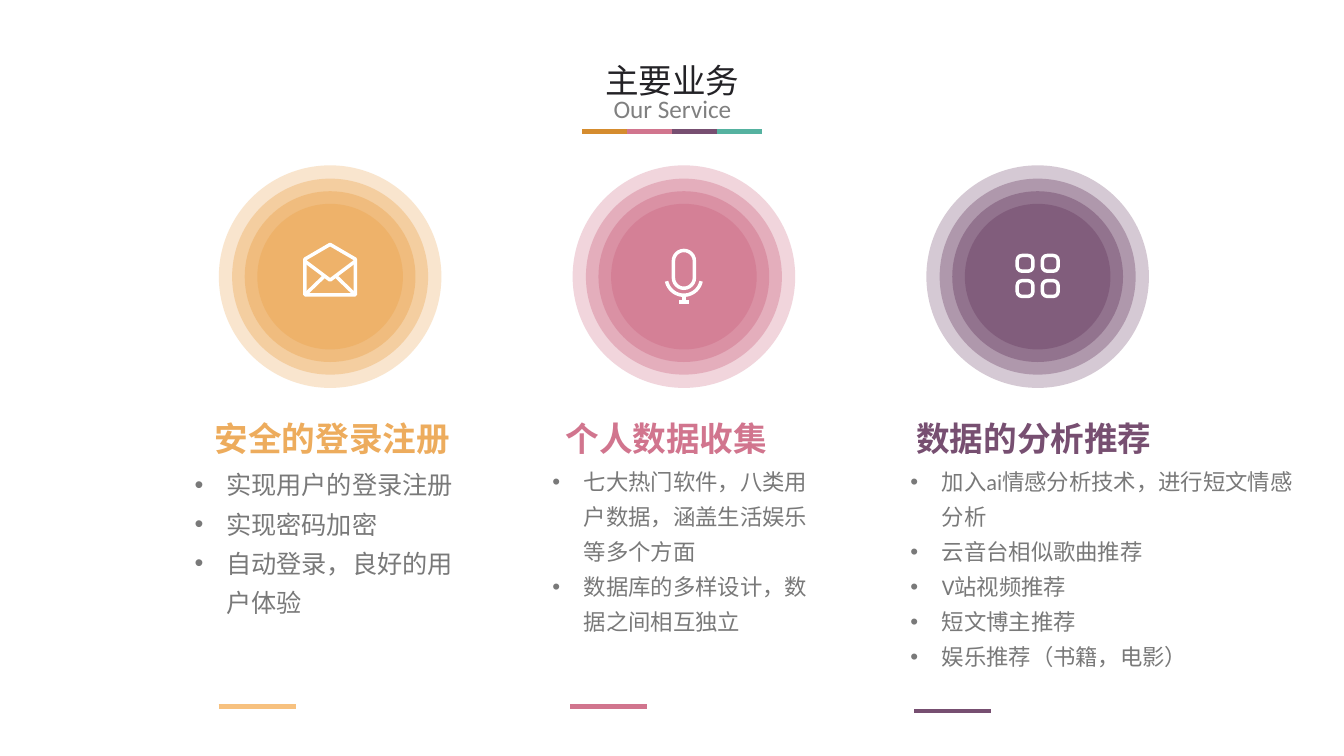
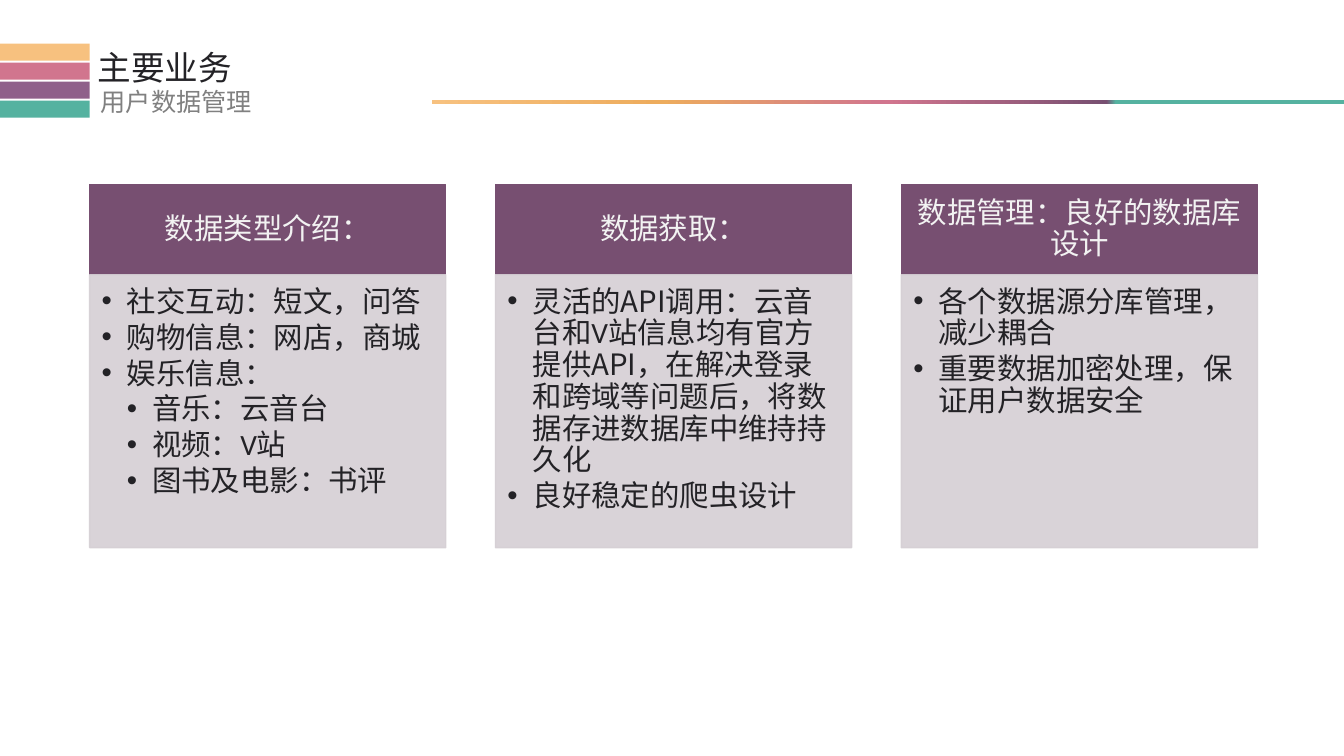
from math import cos, radians, sin

from lxml import etree
from pptx import Presentation
from pptx.dml.color import RGBColor
from pptx.enum.shapes import MSO_CONNECTOR, MSO_SHAPE
from pptx.enum.text import MSO_ANCHOR, PP_ALIGN
from pptx.oxml.ns import qn
from pptx.util import Pt

RECT, ROUND, OVAL = MSO_SHAPE.RECTANGLE, MSO_SHAPE.ROUNDED_RECTANGLE, MSO_SHAPE.OVAL
STRAIGHT = MSO_CONNECTOR.STRAIGHT
LEFT, CENTER = PP_ALIGN.LEFT, PP_ALIGN.CENTER
TOP, MIDDLE = MSO_ANCHOR.TOP, MSO_ANCHOR.MIDDLE

SAND = RGBColor(0xF7, 0xC1, 0x7F)
ORANGE = RGBColor(0xED, 0xAC, 0x5D)
OCHRE = RGBColor(0xD5, 0x8C, 0x2E)
ROSE = RGBColor(0xD1, 0x75, 0x8E)
PLUM = RGBColor(0x77, 0x4F, 0x71)
MAUVE = RGBColor(0x8F, 0x60, 0x8A)
TEAL = RGBColor(0x55, 0xB2, 0xA0)
PALE = RGBColor(0xD5, 0xCF, 0xD4)
DARK = RGBColor(0x23, 0x22, 0x26)
GRAY = RGBColor(0x80, 0x80, 0x80)
TEXT = RGBColor(0x79, 0x79, 0x79)
LIGHT = RGBColor(0xF2, 0xF2, 0xF2)
WHITE = RGBColor(0xFF, 0xFF, 0xFF)

HAN, LATIN = "Noto Sans CJK SC", "Calibri"
TITLE = "主要业务"
INSET = (3.6, 3.6, 3.6, 3.6)

# Each bullet is a level followed by its runs.
SERVICES = [
    dict(head="安全的登录注册", color=ORANGE, icon="mail", size=18,
         left=135.4, width=200, head_x=149.8, rule=(156.2, 504.7, SAND),
         items=[(1, "实现用户的登录注册"), (1, "实现密码加密"),
                (1, "自动登录，良好的用户体验")]),
    dict(head="个人数据收集", color=ROSE, icon="mic", size=16,
         left=391, width=205, head_x=400.3, rule=(407.5, 504.7, ROSE),
         items=[(1, "七大热门软件，八类用户数据，涵盖生活娱乐等多个方面"),
                (1, "数据库的多样设计，数据之间相互独立")]),
    dict(head="数据的分析推荐", color=PLUM, icon="grid", size=16,
         left=646.6, width=291.6, head_x=650.9, rule=(653, 507.6, PLUM),
         items=[(1, "加入", "ai", "情感分析技术，进行短文情感分析"),
                (1, "云音台相似歌曲推荐"), (1, "V", "站视频推荐"),
                (1, "短文博主推荐"), (1, "娱乐推荐（书籍，电影）")]),
]
CARDS = [
    ("数据类型介绍：",
     [(1, "社交互动：短文，问答"), (1, "购物信息：网店，商城"),
      (1, "娱乐信息："), (2, "音乐：云音台"), (2, "视频：", "V", "站"),
      (2, "图书及电影：书评")]),
    ("数据获取：",
     [(1, "灵活的API调用：云音台和", "V",
       "站信息均有官方提供API，在解决登录和跨域等问题后，将数据存进数据库中维持持久化"),
      (1, "良好稳定的爬虫设计")]),
    ("数据管理：良好的数据库设计",
     [(1, "各个数据源分库管理，减少耦合"),
      (1, "重要数据加密处理，保证用户数据安全")]),
]
RINGS = [(159, 30), (140, 40), (122, 50), (104, 60)]
RING_X, RING_STEP, RING_Y = 235.8, 252.7, 197.6
BARS = [OCHRE, ROSE, PLUM, TEAL]
STRIPES = [SAND, ROSE, MAUVE, TEAL]
FADE = [(0, SAND), (25, ORANGE), (50, ROSE), (74, PLUM), (75, TEAL), (100, TEAL)]


def node(parent, tag, **attrs):
    return etree.SubElement(parent, qn(tag), attrs)


def fade(part, alpha):
    """Set the opacity in percent of every colour in part."""
    for color in part.element.spPr.iter(qn("a:srgbClr")):
        node(color, "a:alpha", val=str(alpha * 1000))


def shape(slide, kind, x, y, w, h, fill=None, line=None, weight=1):
    part = slide.shapes.add_shape(kind, Pt(x), Pt(y), Pt(w), Pt(h))
    part.shadow.inherit = False
    paint(part, fill, line, weight)
    return part


def paint(part, fill, line, weight):
    if fill is None:
        part.fill.background()
    else:
        part.fill.solid()
        part.fill.fore_color.rgb = fill
    if line is None:
        part.line.fill.background()
    else:
        part.line.color.rgb = line
        part.line.width = Pt(weight)


def rule(slide, x1, y1, x2, y2, color, weight):
    part = slide.shapes.add_connector(STRAIGHT, Pt(x1), Pt(y1), Pt(x2), Pt(y2))
    part.line.color.rgb = color
    part.line.width = Pt(weight)
    node(part.element.spPr, "a:effectLst")


def trace(slide, points, closed=False):
    """Draw a white outline through points."""
    spots = [(Pt(x), Pt(y)) for x, y in points]
    pen = slide.shapes.build_freeform(*spots[0], scale=1.0)
    pen.add_line_segments(spots[1:], close=closed)
    part = pen.convert_to_shape()
    part.shadow.inherit = False
    paint(part, None, WHITE, 2.5)


def write(part, items, size, color, align=LEFT, anchor=TOP, bold=False,
          inset=INSET, indent=0, space=1.0, before=0):
    """Fill part with items; an indent above zero gives bullets."""
    frame = part.text_frame
    frame.word_wrap = True
    frame.vertical_anchor = anchor
    (frame.margin_left, frame.margin_top,
     frame.margin_right, frame.margin_bottom) = map(Pt, inset)
    for i, (level, *runs) in enumerate(items):
        para = frame.add_paragraph() if i else frame.paragraphs[0]
        if indent:
            para.level = level - 1
            props = para._p.get_or_add_pPr()
            props.set("marL", str(Pt(indent * level)))
            props.set("indent", str(-Pt(indent)))
            node(props, "a:buFont", typeface="Arial")
            node(props, "a:buChar", char="•")
        para.alignment = align
        para.line_spacing = space
        if i and before:
            para.space_before = Pt(before)
        for words in runs:
            run = para.add_run()
            run.text = words
            run.font.size = Pt(size)
            run.font.bold = bold
            run.font.color.rgb = color
            run.font.name = LATIN if words.isascii() else HAN
            node(run.font._element, "a:ea", typeface=HAN)


def label(slide, x, y, w, h, items, size, color, **style):
    box = slide.shapes.add_textbox(Pt(x), Pt(y), Pt(w), Pt(h))
    write(box, items, size, color, **style)


def heading(slide, title, sub, align):
    """Write the title and subtitle, each in its (x, y, w, h) box."""
    label(slide, *title, [(1, TITLE)], 24, DARK, align=align)
    words, *box = sub
    label(slide, *box, [(1, words)], 18, GRAY, align=align)


def mail(slide, x, y):
    trace(slide, [(x, y - 23), (x + 18, y - 12.5), (x + 18, y + 13),
                  (x - 18, y + 13), (x - 18, y - 12.5)], closed=True)
    trace(slide, [(x - 18, y - 11), (x, y + 2.5), (x + 18, y - 11)])
    for side in (-1, 1):
        trace(slide, [(x + side * 18, y + 13), (x + side * 4.5, y)])


def mic(slide, x, y):
    body = shape(slide, ROUND, x - 7.5, y - 18.7, 15, 27, None, WHITE, 2.5)
    body.adjustments[0] = 0.5
    trace(slide, [(x + 12.6 * cos(radians(a)), y + 0.7 + 12.6 * sin(radians(a)))
                  for a in range(12, 169, 6)])
    rule(slide, x, y + 13.3, x, y + 18, WHITE, 2.5)
    rule(slide, x - 3.5, y + 18, x + 3.5, y + 18, WHITE, 2.5)


def grid(slide, x, y):
    side = 11.2
    for dx in (-9, 9):
        for dy in (-9.5, 8.5):
            tile = shape(slide, ROUND, x + dx - side / 2, y + dy - side / 2,
                         side, side, None, WHITE, 2.5)
            tile.adjustments[0] = 0.3


ICONS = dict(mail=mail, mic=mic, grid=grid)


def services(slide):
    heading(slide, (408.2, 38.9, 144, 40),
            ("Our Service", 415.4, 63.4, 130, 29.5), CENTER)
    for i, color in enumerate(BARS):
        x = 416 + 32 * i
        rule(slide, x, 94, x + 32, 94, color, 3.75)
    for i, item in enumerate(SERVICES):
        x, color = RING_X + RING_STEP * i, item["color"]
        for size, alpha in RINGS:
            fade(shape(slide, OVAL, x - size / 2, RING_Y - size / 2,
                       size, size, color), alpha)
        ICONS[item["icon"]](slide, x, RING_Y)
        label(slide, item["head_x"], 295.2, 182, 36, [(1, item["head"])],
              24, color, bold=True)
        label(slide, item["left"], 325.4, item["width"], 130, item["items"],
              item["size"], TEXT, indent=22.5, space=1.3)
        left, y, tint = item["rule"]
        rule(slide, left, y, left + 55, y, tint, 3)


def storage(slide):
    for i, color in enumerate(STRIPES):
        shape(slide, RECT, 0, 31.2 + 13.55 * i, 64.1, 12.2, color)
    heading(slide, (66.2, 29.7, 163, 40),
            ("用户数据管理", 68.4, 58.2, 257, 32), LEFT)
    band = shape(slide, RECT, 308.3, 71.4, 651.7, 2.9)
    band.fill.gradient()
    band.fill.gradient_angle = 0
    stops = next(band.element.spPr.iter(qn("a:gsLst")))
    for old in list(stops):
        stops.remove(old)
    for place, color in FADE:
        stop = node(stops, "a:gs", pos=str(place * 1000))
        node(stop, "a:srgbClr", val=str(color))
    for i, (head, items) in enumerate(CARDS):
        x = 64 + 289.9 * i
        top = shape(slide, RECT, x, 131.8, 254.4, 64.4, PLUM, PLUM)
        write(top, [(1, head)], 21, LIGHT, align=CENTER, anchor=MIDDLE,
              inset=(11.5, 6.5, 11.5, 6.5), space=0.9)
        body = shape(slide, RECT, x, 196.2, 254.4, 195, PALE, PALE)
        fade(body, 90)
        write(body, items, 21, DARK, inset=(8.6, 8.6, 11.5, 8.6),
              indent=18, space=0.9, before=3)


def main():
    deck = Presentation()
    deck.slide_width, deck.slide_height = Pt(960), Pt(540)
    for build in (services, storage):
        build(deck.slides.add_slide(deck.slide_layouts[6]))
    deck.save("out.pptx")


if __name__ == "__main__":
    main()
